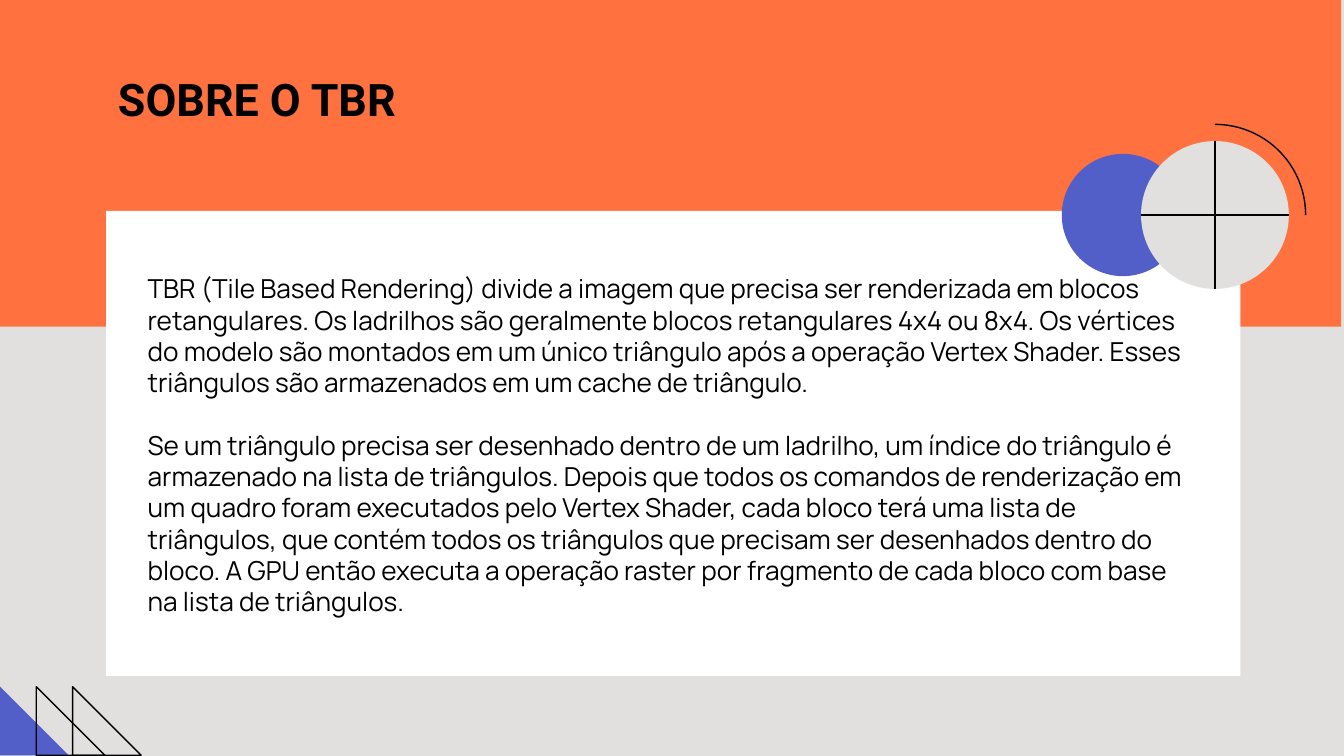
from pptx import Presentation
from pptx.dml.color import RGBColor
from pptx.enum.shapes import MSO_CONNECTOR, MSO_SHAPE
from pptx.enum.text import MSO_ANCHOR
from pptx.oxml.ns import qn
from pptx.util import Inches, Pt
from lxml import etree

RECTANGLE = MSO_SHAPE.RECTANGLE
OVAL = MSO_SHAPE.OVAL
ARC = MSO_SHAPE.ARC
TRIANGLE = MSO_SHAPE.RIGHT_TRIANGLE
STRAIGHT = MSO_CONNECTOR.STRAIGHT
TOP, MIDDLE = MSO_ANCHOR.TOP, MSO_ANCHOR.MIDDLE

COLORS = {
    "orange": "FF7240",
    "gray": "E2E0DF",
    "blue": "525FC9",
    "white": "FFFFFF",
    "black": "000000",
}
TITLE = "SOBRE O TBR"
BODY = [
    "TBR (Tile Based Rendering) divide a imagem que precisa ser renderizada em blocos "
    "retangulares. Os ladrilhos são geralmente blocos retangulares 4x4 ou 8x4. Os vértices "
    "do modelo são montados em um único triângulo após a operação Vertex Shader. Esses "
    "triângulos são armazenados em um cache de triângulo.",
    "Se um triângulo precisa ser desenhado dentro de um ladrilho, um índice do triângulo é "
    "armazenado na lista de triângulos. Depois que todos os comandos de renderização em "
    "um quadro foram executados pelo Vertex Shader, cada bloco terá uma lista de "
    "triângulos, que contém todos os triângulos que precisam ser desenhados dentro do "
    "bloco. A GPU então executa a operação raster por fragmento de cada bloco com base "
    "na lista de triângulos.",
]
BODY_LEADING = Pt(16.75)
LINE_WIDTH = Pt(0.75)
DIAL_X, DIAL_Y, DIAL_RADIUS, ARC_RADIUS = 9.04, 1.6, 0.55, 0.675
DISC_X, DISC_RADIUS = 8.355, 0.455
TRIANGLE_SIZE, TRIANGLE_STEP, TRIANGLE_TOP = 0.51, 0.27, 5.11


def rgb(name):
    return RGBColor.from_string(COLORS[name])


def add_figure(slide, kind, left, top, width, height, fill=None):
    """Add a filled figure, or a black outline when no fill is given."""
    figure = slide.shapes.add_shape(
        kind, Inches(left), Inches(top), Inches(width), Inches(height))
    figure.shadow.inherit = False
    if fill:
        figure.fill.solid()
        figure.fill.fore_color.rgb = rgb(fill)
        figure.line.fill.background()
    else:
        figure.fill.background()
        figure.line.color.rgb = rgb("black")
        figure.line.width = LINE_WIDTH
    return figure


def add_round(slide, kind, x, y, radius, fill=None):
    return add_figure(slide, kind, x - radius, y - radius, 2 * radius, 2 * radius, fill)


def add_hand(slide, dx, dy):
    hand = slide.shapes.add_connector(
        STRAIGHT, Inches(DIAL_X - dx), Inches(DIAL_Y - dy),
        Inches(DIAL_X + dx), Inches(DIAL_Y + dy))
    hand.line.color.rgb = rgb("black")
    hand.line.width = LINE_WIDTH
    etree.SubElement(hand._element.spPr, qn("a:effectLst"))


def add_text(slide, box, paragraphs, font, size, anchor, bold=False, leading=None):
    frame = slide.shapes.add_textbox(*map(Inches, box)).text_frame
    frame.word_wrap = True
    frame.vertical_anchor = anchor
    frame.margin_left = frame.margin_right = Inches(0.1)
    frame.margin_top = frame.margin_bottom = Inches(0.1)
    frame.text = "\n".join(paragraphs)
    for index, paragraph in enumerate(frame.paragraphs):
        if leading:
            paragraph.line_spacing = leading
            paragraph.space_before = leading if index else Pt(0)
        for run in paragraph.runs:
            run.font.name = font
            run.font.size = Pt(size)
            run.font.bold = bold
            run.font.color.rgb = rgb("black")


def main():
    deck = Presentation()
    deck.slide_width, deck.slide_height = Inches(10), Inches(5.625)
    slide = deck.slides.add_slide(deck.slide_layouts[6])
    slide.background.fill.solid()
    slide.background.fill.fore_color.rgb = rgb("gray")

    add_figure(slide, RECTANGLE, -0.02, -0.01, 10, 2.44, "orange")
    add_figure(slide, RECTANGLE, 0.79, 1.57, 8.44, 3.46, "white")
    add_text(slide, (0.78, 0.42, 8.44, 0.63), [TITLE], "Roboto", 24, MIDDLE, bold=True)

    add_round(slide, OVAL, DISC_X, DIAL_Y, DISC_RADIUS, "blue")
    add_round(slide, ARC, DIAL_X, DIAL_Y, ARC_RADIUS)
    add_round(slide, OVAL, DIAL_X, DIAL_Y, DIAL_RADIUS, "gray")
    add_hand(slide, 0, DIAL_RADIUS)
    add_hand(slide, DIAL_RADIUS, 0)

    add_text(slide, (1, 1.93, 8, 2.75), BODY, "Manrope", 14, TOP, leading=BODY_LEADING)

    for index, fill in enumerate(["blue", None, None]):
        add_figure(slide, TRIANGLE, index * TRIANGLE_STEP, TRIANGLE_TOP,
                   TRIANGLE_SIZE, TRIANGLE_SIZE, fill)
    deck.save("out.pptx")


if __name__ == "__main__":
    main()
